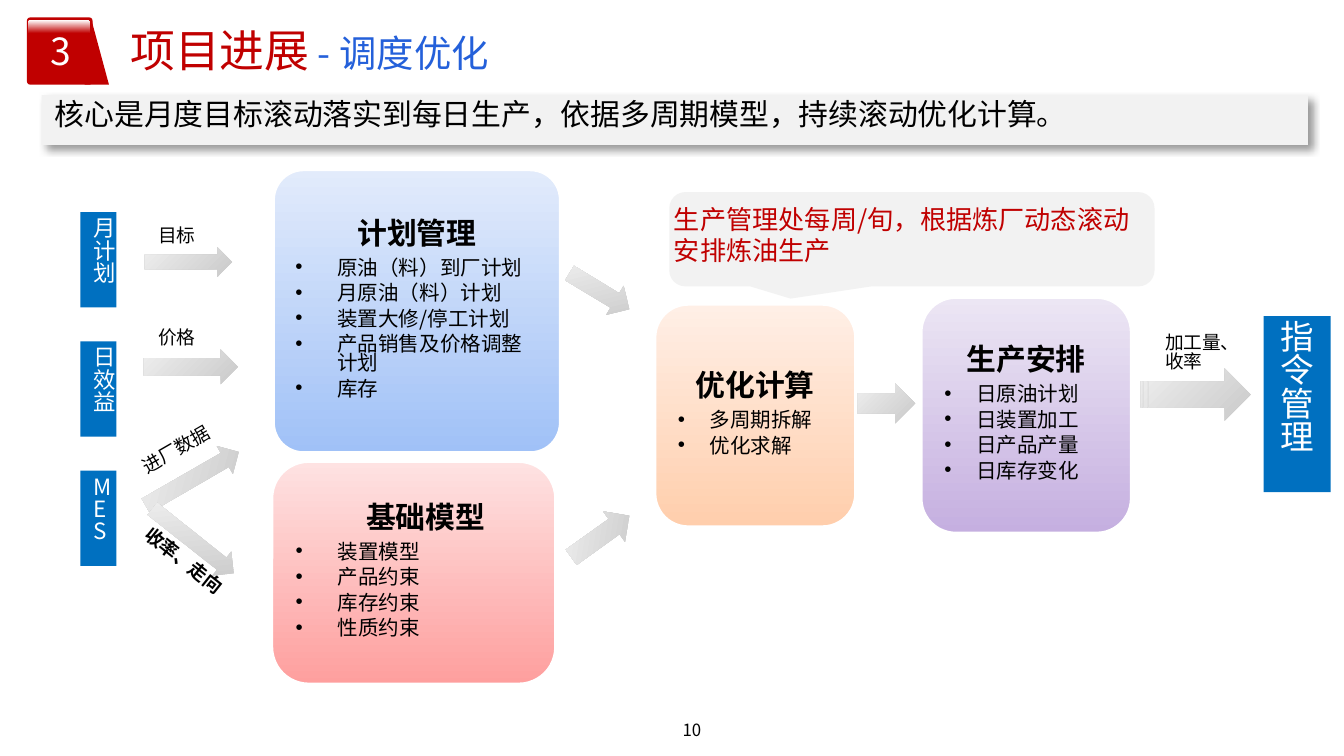
from lxml import etree
from pptx import Presentation
from pptx import util as u
from pptx.dml.color import RGBColor
from pptx.enum import shapes, text
from pptx.oxml import parse_xml
from pptx.oxml.ns import nsdecls, qn

FONT = "Noto Sans CJK SC"
KIND = shapes.MSO_SHAPE
SIDE = text.PP_ALIGN
MID = text.MSO_ANCHOR.MIDDLE
RED, BLUE, GRAY = "C00000", "0070C0", "F2F2F2"


def tint(color, code):
    color.rgb = RGBColor.from_string(code)


def blend(fill, start, end, angle):
    fill.gradient()
    fill.gradient_angle = angle
    for stop, code in zip(fill.gradient_stops, (start, end)):
        tint(stop.color, code)


def paint(fill, code):
    fill.solid()
    tint(fill.fore_color, code)


def place(item, spot, turn=0):
    item.left, item.top, item.width, item.height = map(u.Cm, spot)
    item.rotation = turn


def write(box, words, size=10, color="000000", bold=False, align=SIDE.LEFT,
          lead=0.83, after=0, indent=None, bullet=False, join=False):
    frame = box.text_frame
    para = frame.paragraphs[-1]
    if para.runs and not join:
        para = frame.add_paragraph()
    if indent is not None:
        props = para._p.get_or_add_pPr()
        props.set("marL", str(u.Cm(indent)))
        props.set("indent", str(-u.Cm(indent) if bullet else 0))
        if bullet:
            face = etree.SubElement(props, qn("a:buFont"))
            face.set("typeface", "Arial")
            etree.SubElement(props, qn("a:buChar")).set("char", "•")
        else:
            etree.SubElement(props, qn("a:buNone"))
    para.alignment, para.line_spacing = align, lead
    para.space_before, para.space_after = u.Pt(0), u.Pt(after)
    run = para.add_run()
    run.text = words
    font = run.font
    font.name, font.size, font.bold = FONT, u.Pt(size), bold
    tint(font.color, color)
    etree.SubElement(run._r.get_or_add_rPr(), qn("a:ea")).set("typeface", FONT)


def block(slide, kind, spot, color=None, turn=0):
    item = slide.shapes.add_shape(kind, *map(u.Cm, spot))
    item.rotation = turn
    item.shadow.inherit = False
    item.line.fill.background()
    item.text_frame.word_wrap = True
    item.text_frame.vertical_anchor = text.MSO_ANCHOR.TOP
    if color:
        paint(item.fill, color)
    return item


def label(slide, words, spot, turn=0, **fmt):
    box = slide.shapes.add_textbox(*map(u.Cm, spot))
    box.rotation = turn
    box.text_frame.word_wrap = True
    write(box, words, **fmt)
    return box


def arrow(slide, spot, turn=0, kind=KIND.RIGHT_ARROW):
    item = block(slide, kind, spot, turn=turn)
    blend(item.fill, "CACACA", "EEEEEE", 135)


def tag(slide, words, spot, size=12):
    item = block(slide, KIND.RECTANGLE, spot, BLUE)
    write(item, words, size=size, color="FFFFFF", align=SIDE.CENTER)


def card(body, head, items, spot, colors, indent, curve=0.167, shift=0):
    place(body, spot)
    outline = parse_xml(
        f'<a:prstGeom {nsdecls("a")} prst="roundRect"><a:avLst>'
        f'<a:gd name="adj" fmla="val {round(curve * 100000)}"/>'
        '</a:avLst></a:prstGeom>')
    body._element.spPr.find(qn("a:xfrm")).addnext(outline)
    blend(body.fill, *colors, 90)
    tint(body.line.color, "FFFFFF")
    body.line.width = u.Pt(2)
    frame = body.text_frame
    frame.auto_size = text.MSO_AUTO_SIZE.NONE
    frame.vertical_anchor = MID
    write(body, head, size=16, bold=True, align=SIDE.CENTER,
          lead=0.77, after=5.6, indent=shift)
    for item in items:
        write(body, item, size=11, lead=0.77, after=3.5,
              indent=indent, bullet=True)


def banner(slide):
    bar = block(slide, KIND.RECTANGLE, (0.79, 1.8, 23.93, 0.94), GRAY)
    write(bar, "核心是月度目标滚动落实到每日生产，依据多周期模型，持续滚动优化计算。", size=16)
    glow = bar._element.spPr.find(qn("a:effectLst"))
    glow.append(parse_xml(
        f'<a:outerShdw {nsdecls("a")} blurRad="{u.Pt(4)}" dist="{u.Pt(3)}" '
        'dir="2700000" algn="tl" rotWithShape="0"><a:srgbClr val="000000">'
        '<a:alpha val="40000"/></a:srgbClr></a:outerShdw>'))


def badge(slide):
    base = block(slide, KIND.ROUNDED_RECTANGLE, (0.51, 0.33, 1.24, 1.27), RED)
    base.adjustments[0] = 0.05
    pen = slide.shapes.build_freeform(u.Cm(1.73), u.Cm(0.38))
    pen.add_line_segments([(u.Cm(x), u.Cm(y)) for x, y in
                           ((2.06, 1.6), (1.6, 1.6), (1.52, 0.76))])
    slant = pen.convert_to_shape()
    slant.shadow.inherit = False
    slant.line.fill.background()
    paint(slant.fill, RED)
    gloss = block(slide, KIND.ROUNDED_RECTANGLE, (0.53, 0.38, 1.17, 0.25))
    gloss.adjustments[0] = 0.2
    blend(gloss.fill, "FFFFFF", RED, 270)
    num = label(slide, "3", (0.89, 0.7, 0.51, 0.69), size=20,
                color="FFFFFF", align=SIDE.CENTER, lead=0.8)
    frame = num.text_frame
    frame.margin_left = frame.margin_right = 0
    frame.margin_top = frame.margin_bottom = 0


def heading(title):
    place(title, (2.21, 0.38, 10.49, 1.27))
    title.text_frame.vertical_anchor = MID
    write(title, "项目进展", size=24, color=RED)
    write(title, " - 调度优化", size=20, color="2460DA", join=True)


def callout(slide):
    note = block(slide, KIND.ROUNDED_RECTANGULAR_CALLOUT,
                 (12.65, 3.63, 9.17, 1.78), GRAY)
    for spot, value in enumerate((-0.25, 0.63, 0.17)):
        note.adjustments[spot] = value
    note.text_frame.margin_left = 0
    write(note, "生产管理处每周/旬，根据炼厂动态滚动安排炼油生产",
          size=14, color=RED, lead=1.0)


def main():
    deck = Presentation()
    deck.slide_width, deck.slide_height = u.Cm(25.4), u.Cm(14.28)
    slide = deck.slides.add_slide(deck.slide_layouts[4])
    heading(slide.shapes.title)
    cards = (
        ("计划管理", ("原油（料）到厂计划", "月原油（料）计划", "装置大修/停工计划",
                  "产品销售及价格调整计划", "库存"),
         (5.16, 3.2, 5.44, 5.36), ("A0C1F7", "E2EBFB"), 0.79, 0.108),
        ("基础模型", ("装置模型", "产品约束", "库存约束", "性质约束"),
         (5.13, 8.71, 5.38, 4.22), ("FE9F9E", "FEE2E2"), 0.79, 0.167, 0.45),
        ("优化计算", ("多周期拆解", "优化求解"),
         (12.37, 5.74, 3.81, 4.22), ("FFCEAC", "FFEFE6"), 0.6),
        ("生产安排", ("日原油计划", "日装置加工", "日产品产量", "日库存变化"),
         (17.4, 5.61, 3.99, 4.47), ("C5AFE0", "ECE6F4"), 0.6),
    )
    for idx, data in enumerate(cards, 1):
        card(slide.placeholders[idx], *data)
    banner(slide)
    for row, words in enumerate(("月计划", "日效益", "MES")):
        tag(slide, words, (1.52, 4.01 + 2.44 * row, 0.68, 1.8))
    tag(slide, "指令管理", (23.88, 5.97, 1.27, 3.33), size=18)
    for spot, turn in (
            ((2.74, 4.67, 1.65, 0.56), 0),
            ((2.72, 6.6, 1.78, 0.66), 0),
            ((2.62, 8.74, 2.03, 0.61), 330),
            ((2.67, 9.93, 1.96, 0.58), 38.4),
            ((10.67, 5.18, 1.32, 0.64), 31.2),
            ((10.67, 9.78, 1.35, 0.71), 324.4),
            ((16.21, 7.24, 1.09, 0.76), 0)):
        arrow(slide, spot, turn)
    arrow(slide, (21.56, 6.96, 2.08, 0.99), kind=KIND.STRIPED_RIGHT_ARROW)
    label(slide, "目标", (2.74, 4.17, 1.47, 0.69))
    label(slide, "价格", (2.74, 6.1, 1.35, 0.69))
    label(slide, "进厂数据", (2.41, 8.18, 2.01, 0.69), 330)
    label(slide, "收率、走向", (2.29, 10.34, 2.39, 0.69), 38.5, bold=True)
    label(slide, "加工量、收率", (21.77, 6.2, 1.88, 1.12))
    callout(slide)
    badge(slide)
    label(slide, "10", (12.65, 13.54, 1.73, 0.76), size=9)
    deck.save("out.pptx")


if __name__ == "__main__":
    main()
